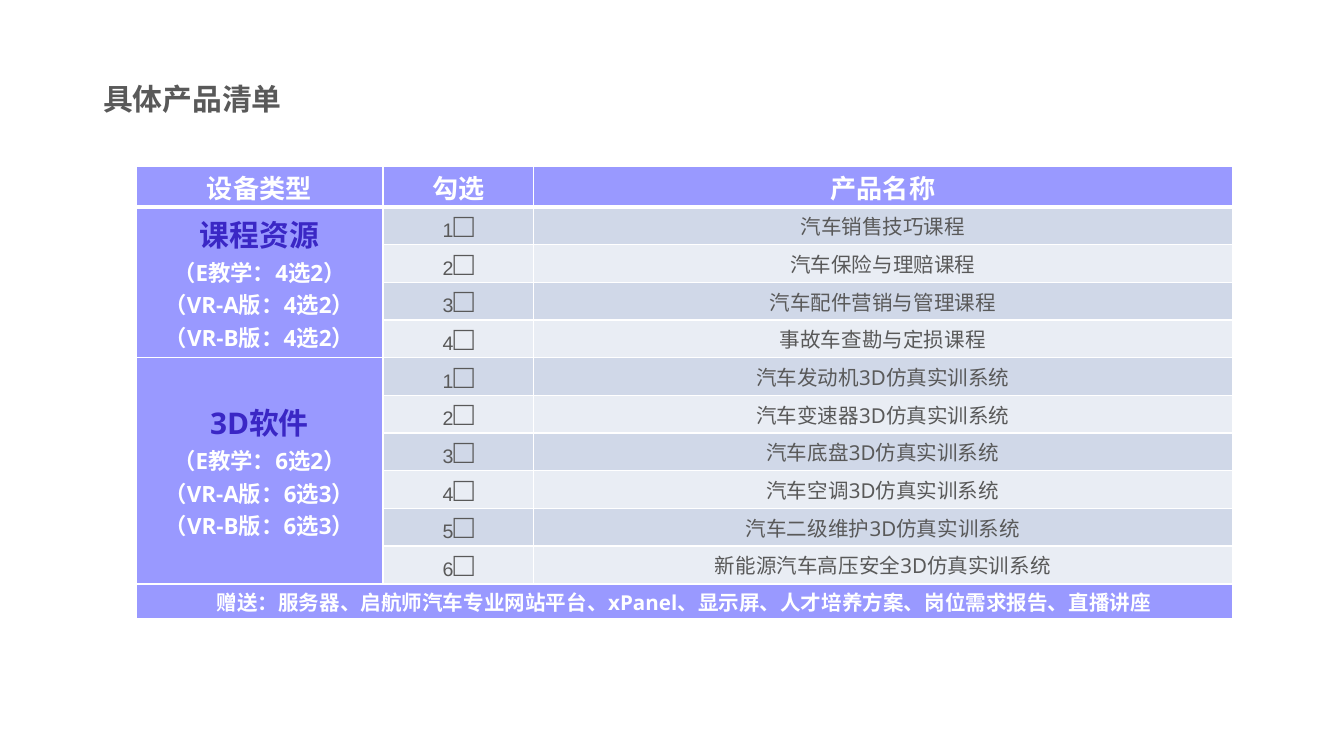
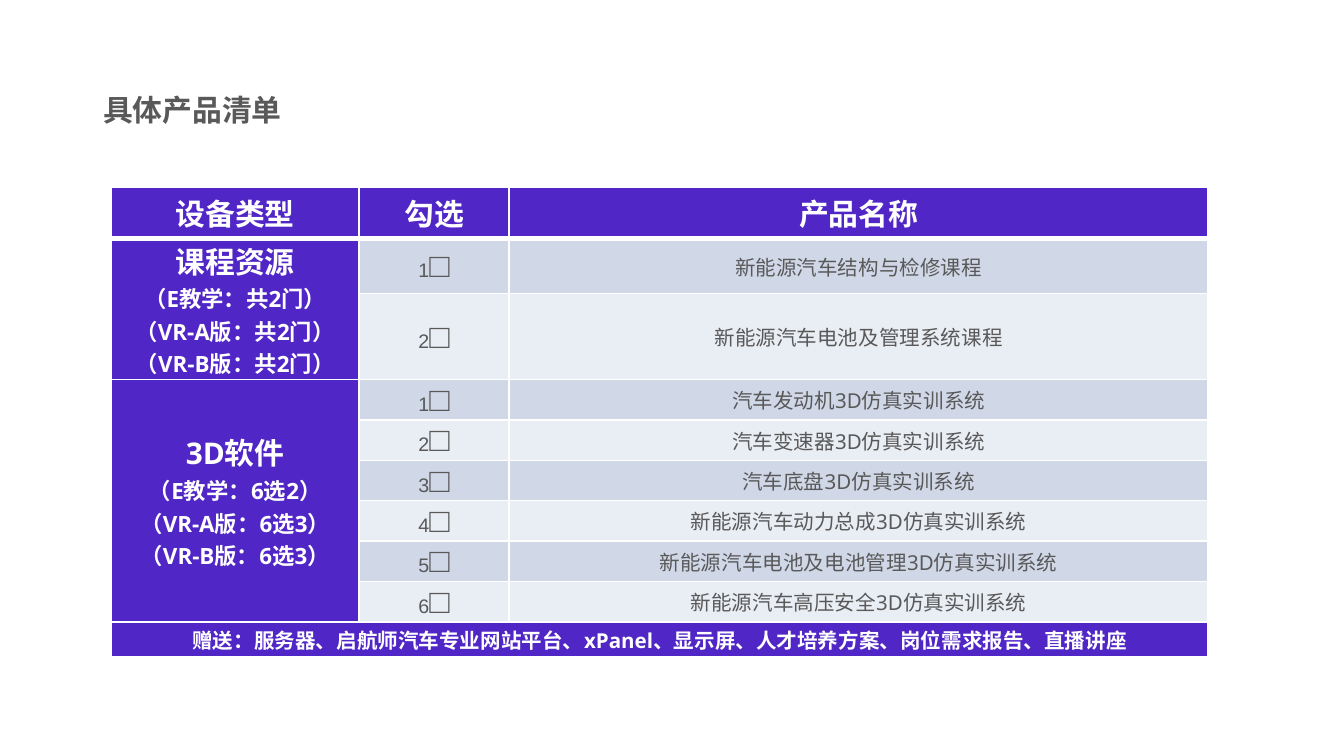
from lxml import etree
from pptx import Presentation
from pptx import util as u
from pptx.dml.color import RGBColor
from pptx.enum import text
from pptx.oxml import ns

SANS, ARIAL = "Noto Sans", "Arial"
WHITE, GREY = "FFFFFF", "595959"
BANDS = ["D0D8E8", "E9EDF4"]
COLS = [368, 224, 1040]
HEADS = ["设备类型", "勾选", "产品名称"]
TITLE = "具体产品清单"
GIFT = "赠送：服务器、启航师汽车专业网站平台、xPanel、显示屏、人才培养方案、岗位需求报告、直播讲座"
BASE = ["汽车发动机", "汽车变速器", "汽车底盘"]
SAFE = "新能源汽车高压安全"
PICKS = ["（E教学：6选2）", "（VR-A版：6选3）", "（VR-B版：6选3）"]


def px(n):
    return u.Emu(n * 4572)


def rgb(code):
    return RGBColor.from_string(code)


def soft(names):
    return [f"{name}3D仿真实训系统" for name in names]


def style(size, color=WHITE, bold=True, face=SANS, east=None):
    return {"size": u.Pt(size), "bold": bold, "name": face, "color": color, "east": east}


def write(par, words, form):
    run = par.add_run()
    run.text = words
    for key, val in form.items():
        if key == "color":
            run.font.color.rgb = rgb(val)
        elif key != "east":
            setattr(run.font, key, val)
    if form["east"]:
        east = etree.SubElement(run.font._element, ns.qn("a:ea"))
        east.set("typeface", form["east"])


def edge(cell, sides):
    props = cell._tc.get_or_add_tcPr()
    for side, width in sides.items():
        line = etree.SubElement(props, ns.qn(f"a:ln{side}"), w=str(u.Pt(width)))
        fill = etree.SubElement(line, ns.qn("a:solidFill"))
        etree.SubElement(fill, ns.qn("a:srgbClr"), val=WHITE)


def paint(cell, row, fill, pad):
    sides = {"L": 1, "R": 1, "T": 1, "B": 3 if row == 0 else 1}
    if row == 1:
        del sides["T"]
    edge(cell, sides)
    cell.fill.solid()
    cell.fill.fore_color.rgb = rgb(fill)
    form = {
        "margin_left": px(pad), "margin_right": px(pad),
        "margin_top": 0, "margin_bottom": 0,
        "vertical_anchor": text.MSO_ANCHOR.MIDDLE,
    }
    for key, val in form.items():
        setattr(cell, key, val)


def fill_in(cell, lines):
    for i, runs in enumerate(lines):
        par = cell.text_frame.add_paragraph() if i else cell.text_frame.paragraphs[0]
        par.alignment = text.PP_ALIGN.CENTER
        for words, form in runs:
            write(par, words, form)


def title(slide, box):
    frame = slide.shapes.add_textbox(*map(px, box)).text_frame
    frame.word_wrap = True
    frame.auto_size = text.MSO_AUTO_SIZE.SHAPE_TO_FIT_TEXT
    write(frame.paragraphs[0], TITLE, style(16, GREY, east=SANS))


def group(grid, top, name, notes, goods, tint):
    lines = [[(name, style(16, tint))]] + [[(note, style(12))] for note in notes]
    fill_in(grid.cell(top, 0), lines)
    for i, good in enumerate(goods):
        mark = [(str(i + 1), style(10.5, GREY, False, ARIAL, ARIAL)),
                ("□", style(18, GREY, False, ARIAL, ARIAL))]
        fill_in(grid.cell(top + i, 1), [mark])
        fill_in(grid.cell(top + i, 2), [[(good, style(11, GREY, False))]])
    grid.cell(top, 0).merge(grid.cell(top + len(goods) - 1, 0))


def listing(slide, box, rows, groups, main, tint, size):
    frame = slide.shapes.add_table(len(rows), len(COLS), *map(px, box))
    grid = frame.table
    grid.first_row = grid.horz_banding = False
    for col, wide in zip(grid.columns, COLS):
        col.width = px(wide)
    for row, high in zip(grid.rows, rows):
        row.height = px(high)
    frame.height = px(box[3])
    last = len(rows) - 1
    for r in range(len(rows)):
        for c in range(len(COLS)):
            body = 0 < r < last and c > 0
            fill = BANDS[(r - 1) % 2] if body else main
            paint(grid.cell(r, c), r, fill, 14 if body and c == 2 else 4)
    for c, head in enumerate(HEADS):
        fill_in(grid.cell(0, c), [[(head, style(size))]])
    top = 1
    for name, notes, goods in groups:
        group(grid, top, name, notes, goods, tint)
        top += len(goods)
    fill_in(grid.cell(last, 0), [[(GIFT, style(11))]])
    grid.cell(last, 0).merge(grid.cell(last, 2))


PAGES = [
    {
        "title": (134, 110, 566, 74),
        "table": (202, 248, 1632, 712),
        "rows": [60, 48, 48, 48, 32] + [26] * 5 + [30, 52],
        "look": ("9999FF", "3A27C5", 14),
        "groups": [
            ("课程资源", ["（E教学：4选2）", "（VR-A版：4选2）", "（VR-B版：4选2）"],
             ["汽车销售技巧课程", "汽车保险与理赔课程",
              "汽车配件营销与管理课程", "事故车查勘与定损课程"]),
            ("3D软件", PICKS, soft(BASE + ["汽车空调", "汽车二级维护", SAFE])),
        ],
    },
    {
        "title": (134, 126, 566, 74),
        "table": (166, 279, 1632, 662),
        "rows": [76, 82, 128] + [26] * 5 + [30, 52],
        "look": ("5026C6", WHITE, 16),
        "groups": [
            ("课程资源", ["（E教学：共2门）", "（VR-A版：共2门）", "（VR-B版：共2门）"],
             ["新能源汽车结构与检修课程", "新能源汽车电池及管理系统课程"]),
            ("3D软件", PICKS,
             soft(BASE + ["新能源汽车动力总成", "新能源汽车电池及电池管理", SAFE])),
        ],
    },
]


def main():
    deck = Presentation()
    deck.slide_width, deck.slide_height = px(2000), px(1125)
    for page in PAGES:
        slide = deck.slides.add_slide(deck.slide_layouts[6])
        listing(slide, page["table"], page["rows"], page["groups"], *page["look"])
        title(slide, page["title"])
    deck.save("out.pptx")


if __name__ == "__main__":
    main()
